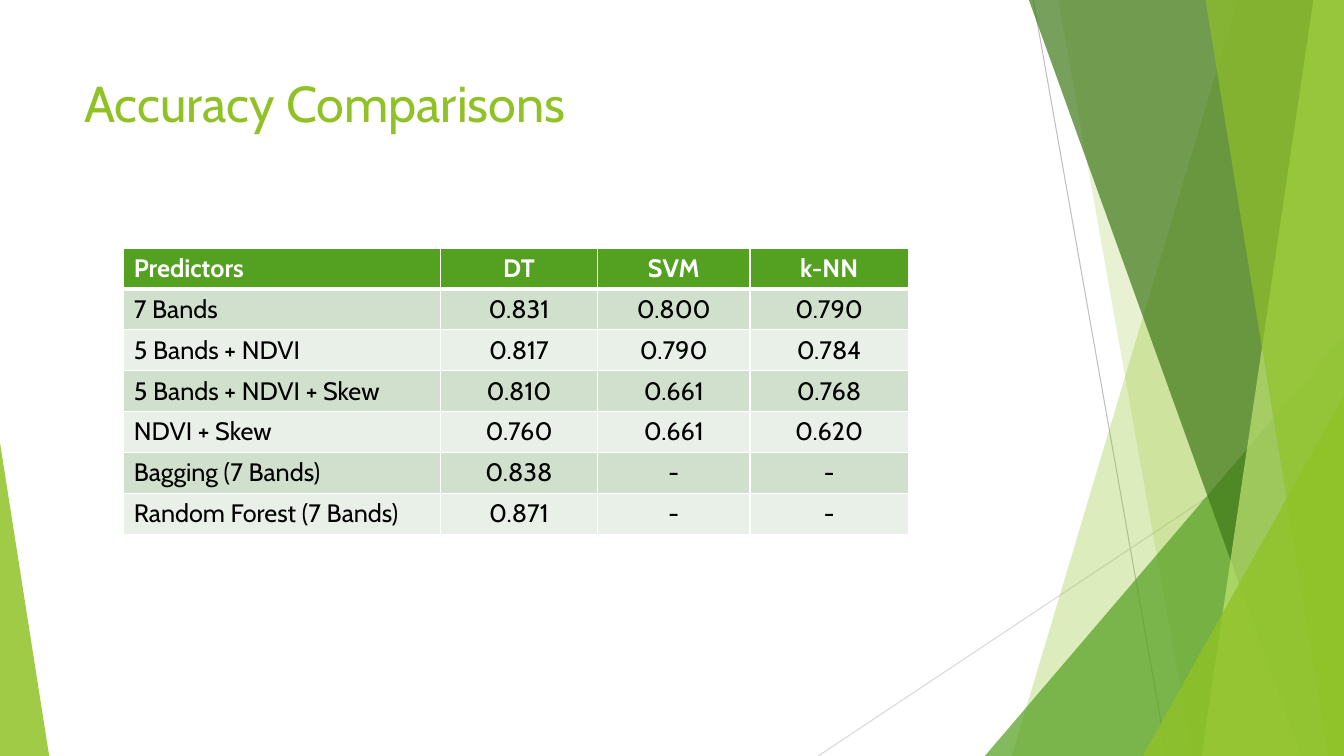
from lxml import etree
from pptx import Presentation
from pptx.dml.color import RGBColor
from pptx.enum.shapes import MSO_CONNECTOR, MSO_SHAPE
from pptx.enum.text import MSO_ANCHOR, PP_ALIGN
from pptx.oxml.ns import qn
from pptx.util import Cm, Pt

STRAIGHT = MSO_CONNECTOR.STRAIGHT
TRIANGLE = MSO_SHAPE.ISOSCELES_TRIANGLE
TOP = MSO_ANCHOR.TOP
LEFT, CENTER = PP_ALIGN.LEFT, PP_ALIGN.CENTER

WIDTH, HEIGHT = 33.87, 19.05
FONT = "Cabin"
COLORS = {
    "white": "FFFFFF", "black": "000000", "gray": "BFBFBF", "silver": "D9D9D9",
    "lime": "90C226", "green": "54A021", "forest": "3F7819", "pale": "C0E474",
    "odd_row": "D1DFCD", "even_row": "E9F0E8",
}
COLUMN_WIDTHS = [7.98, 3.96, 3.84, 3.99]
ROW_HEIGHT = 1.03
ACCURACY = [
    ["Predictors", "DT", "SVM", "k-NN"],
    ["7 Bands", "0.831", "0.800", "0.790"],
    ["5 Bands + NDVI", "0.817", "0.790", "0.784"],
    ["5 Bands + NDVI + Skew", "0.810", "0.661", "0.768"],
    ["NDVI + Skew", "0.760", "0.661", "0.620"],
    ["Bagging (7 Bands)", "0.838", "-", "-"],
    ["Random Forest (7 Bands)", "0.871", "-", "-"],
]


class SlideBuilder:
    """Draws styled elements on the current slide, with lengths in centimetres."""

    def __init__(self, slide):
        self.slide = slide

    def color(self, name):
        return RGBColor.from_string(COLORS[name])

    def paint(self, shape, color, opacity):
        shape.shadow.inherit = False
        shape.line.fill.background()
        shape.fill.solid()
        shape.fill.fore_color.rgb = self.color(color)
        color_element = shape._element.spPr.find(qn("a:solidFill"))[0]
        etree.SubElement(color_element, qn("a:alpha"), val=str(opacity * 1000))

    def line(self, start, end, color):
        connector = self.slide.shapes.add_connector(
            STRAIGHT, *[Cm(value) for value in start + end])
        connector.line.color.rgb = self.color(color)
        connector.line.width = Pt(0.75)
        etree.SubElement(connector._element.spPr, qn("a:effectLst"))

    def blade(self, top_x, bottom_x, color, opacity):
        corners = [(top_x, 0), (WIDTH, 0), (WIDTH, HEIGHT), (bottom_x, HEIGHT)]
        points = [(Cm(x), Cm(y)) for x, y in corners]
        builder = self.slide.shapes.build_freeform(*points[0])
        builder.add_line_segments(points[1:], close=True)
        self.paint(builder.convert_to_shape(), color, opacity)

    def corner_triangle(self, left, top, width, apex, color, opacity):
        shape = self.slide.shapes.add_shape(
            TRIANGLE, Cm(left), Cm(top), Cm(width), Cm(HEIGHT - top))
        shape.adjustments[0] = apex
        self.paint(shape, color, opacity)

    def add_text(self, text_frame, text, color, alignment=LEFT, **font_format):
        paragraph = text_frame.paragraphs[0]
        paragraph.alignment = alignment
        run = paragraph.add_run()
        run.text = text
        run.font.color.rgb = self.color(color)
        for name, value in {"name": FONT, **font_format}.items():
            setattr(run.font, name, value)

    def title(self, text, left, top, width, height):
        box = self.slide.shapes.add_textbox(Cm(left), Cm(top), Cm(width), Cm(height))
        for name, value in {"word_wrap": True, "vertical_anchor": TOP}.items():
            setattr(box.text_frame, name, value)
        self.add_text(box.text_frame, text, "lime", size=Pt(36))

    def border(self, cell, side, width):
        properties = cell._tc.get_or_add_tcPr()
        line = etree.SubElement(properties, qn(f"a:ln{side}"), w=str(Pt(width)))
        fill = etree.SubElement(line, qn("a:solidFill"))
        etree.SubElement(fill, qn("a:srgbClr"), val=COLORS["white"])

    def table(self, rows, left, top):
        table = self.slide.shapes.add_table(
            len(rows), len(COLUMN_WIDTHS), Cm(left), Cm(top),
            Cm(sum(COLUMN_WIDTHS)), Cm(ROW_HEIGHT * len(rows))).table
        for column, width in zip(table.columns, COLUMN_WIDTHS):
            column.width = Cm(width)
        for row_index, values in enumerate(rows):
            table.rows[row_index].height = Cm(ROW_HEIGHT)
            header = row_index == 0
            band = "green" if header else "odd_row" if row_index % 2 else "even_row"
            for column_index, value in enumerate(values):
                cell = table.cell(row_index, column_index)
                for side in "LRTB":
                    heavy = (row_index, side) in [(0, "B"), (1, "T")]
                    self.border(cell, side, 3 if heavy else 1)
                cell.fill.solid()
                cell.fill.fore_color.rgb = self.color(band)
                self.add_text(cell.text_frame, value, "white" if header else "black",
                              CENTER if column_index else LEFT, size=Pt(18), bold=header)


def main():
    presentation = Presentation()
    presentation.slide_width, presentation.slide_height = Cm(WIDTH), Cm(HEIGHT)
    slide = presentation.slides.add_slide(presentation.slide_layouts[6])
    builder = SlideBuilder(slide)

    builder.line((26.04, 0), (29.41, HEIGHT), "gray")
    builder.line((WIDTH, 10.24), (20.62, HEIGHT), "silver")
    builder.blade(31.19, 25.5, "lime", 30)
    builder.blade(26.67, 30.05, "lime", 20)
    builder.corner_triangle(24.82, 8.46, 9.05, 1, "green", 72)
    builder.blade(25.93, 32.79, "forest", 70)
    builder.blade(33.1, 30.28, "pale", 70)
    builder.blade(30.38, 33.48, "lime", 65)
    builder.corner_triangle(28.8, 9.98, 5.07, 1, "lime", 80)
    builder.corner_triangle(0, 11.15, 1.24, 0, "lime", 85)

    builder.title("Accuracy Comparisons", 1.88, 1.7, 23.88, 3.66)
    builder.table(ACCURACY, 3.12, 6.25)
    presentation.save("out.pptx")


if __name__ == "__main__":
    main()
